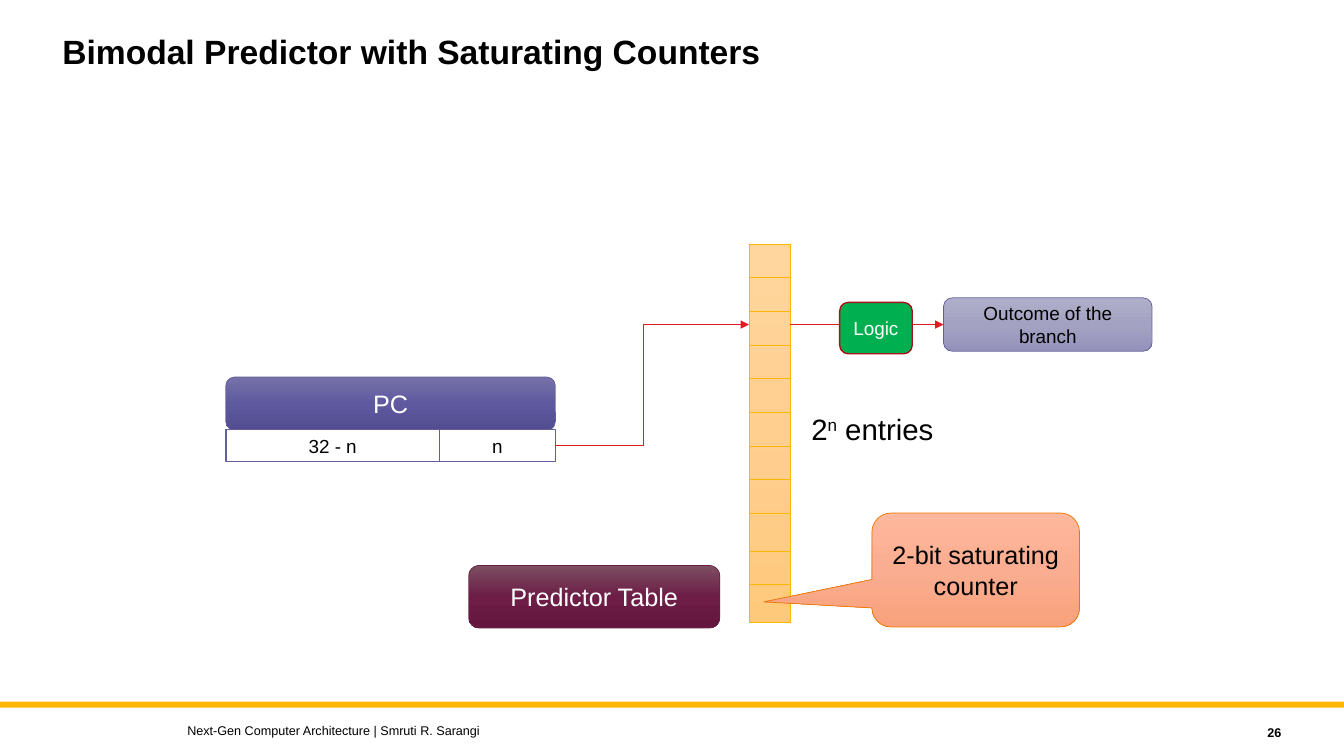
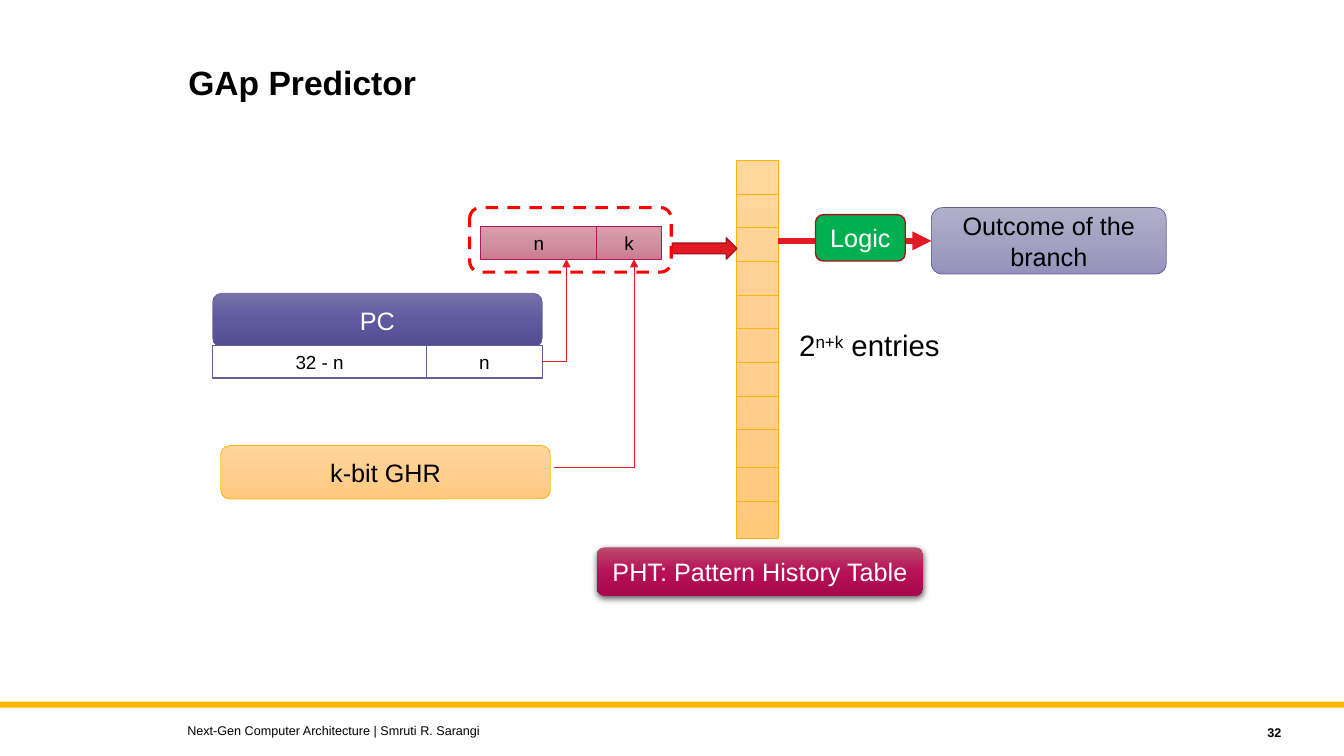
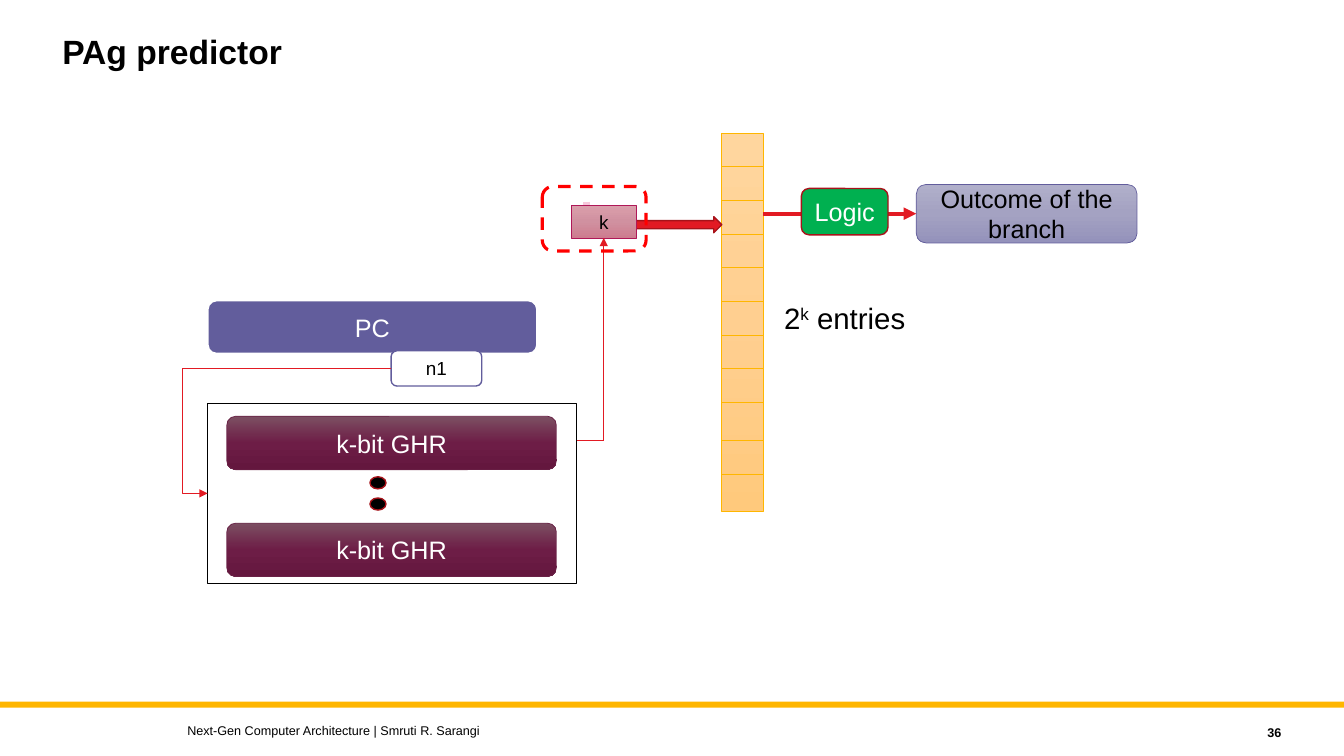
from copy import deepcopy
from dataclasses import dataclass
from itertools import accumulate, pairwise

from lxml.etree import SubElement
from pptx import Presentation
from pptx.dml.color import RGBColor
from pptx.enum.dml import MSO_LINE
from pptx.enum.shapes import MSO_CONNECTOR, MSO_SHAPE
from pptx.enum.text import MSO_ANCHOR, PP_ALIGN
from pptx.oxml.ns import qn
from pptx.util import Inches, Pt

COLUMNS, ROWS = 133.33, 75
CELL = Inches(0.1)
FONT = "Arial"
TOP, LEFT, BOTTOM, RIGHT = range(4)

BLACK = RGBColor(0x00, 0x00, 0x00)
WHITE = RGBColor(0xFF, 0xFF, 0xFF)
AMBER = RGBColor(0xFF, 0xB6, 0x00)
INDIGO = RGBColor(0x62, 0x5D, 0x9C)
RED = RGBColor(0xE2, 0x1A, 0x23)
DARK_RED = RGBColor(0xA7, 0x13, 0x1A)
BRIGHT_RED = RGBColor(0xFF, 0x00, 0x00)
GREEN = RGBColor(0x00, 0xB0, 0x50)
ORANGE = RGBColor(0xEC, 0x77, 0x00)
WINE = RGBColor(0x69, 0x21, 0x46)
MAGENTA = RGBColor(0xAF, 0x18, 0x58)
PINK = RGBColor(0xF7, 0xC8, 0xDC)


def fade(*codes):
    return tuple(RGBColor.from_string(code) for code in codes)


INDIGO_FADE = fade("7571A8", "5F5A9F", "524D90")
AMBER_FADE = fade("FFD69E", "FFCF90", "FFC97C")
LILAC_FADE = fade("B0AFCA", "A4A2C2", "9492BB")
WINE_FADE = fade("7C4F62", "6D1D46", "64173E")
PEACH_FADE = fade("FFB89D", "FAAD90", "F9A17C")
ROSE_FADE = fade("DA9EAB", "D091A0", "CD7C8F")
MAGENTA_FADE = fade("BA4D6E", "B71057", "A9084C")

INDIGO_LOOK = dict(fill=INDIGO_FADE, line=INDIGO, color=WHITE)
FIELD_LOOK = dict(fill=WHITE, line=INDIGO, weight=1, size=13.5)
AMBER_LOOK = dict(fill=AMBER_FADE, line=AMBER)
WINE_LOOK = dict(fill=WINE_FADE, line=WINE, color=WHITE)
INDEX_LOOK = dict(fill=ROSE_FADE, line=MAGENTA, size=13.5)
DASHED_LOOK = dict(line=BRIGHT_RED, weight=2.25, dash=MSO_LINE.DASH)


@dataclass(frozen=True)
class Box:
    left: float
    top: float
    width: float
    height: float

    @property
    def right(self):
        return self.left + self.width

    @property
    def bottom(self):
        return self.top + self.height

    @property
    def center(self):
        return self.left + self.width / 2

    @property
    def middle(self):
        return self.top + self.height / 2

    def inner(self, left, top, width, height):
        return Box(self.left + left, self.top + top, width, height)

    def lengths(self):
        return cells(self.left, self.top, self.width, self.height)


def cells(*lengths):
    return [round(length * CELL) for length in lengths]


def write(shape, text, size=18, color=BLACK, bold=False, align=PP_ALIGN.CENTER,
          anchor=MSO_ANCHOR.MIDDLE, spacing=1.0):
    frame = shape.text_frame
    frame.word_wrap = True
    frame.vertical_anchor = anchor
    para = frame.paragraphs[0]
    para.alignment = align
    para.line_spacing = spacing
    for place, words in enumerate(text.split("^")):
        span = para.add_run()
        span.text = words
        span.font.name = FONT
        span.font.size = Pt(size)
        span.font.bold = bold
        span.font.color.rgb = color
        if place % 2:
            span.font._element.set("baseline", "30000")


def label(page, box, text, **style):
    style = dict(align=PP_ALIGN.LEFT) | style
    write(page.shapes.add_textbox(*box.lengths()), text, **style)


def paint(shape, fill):
    if fill is None:
        shape.fill.background()
    elif isinstance(fill, RGBColor):
        shape.fill.solid()
        shape.fill.fore_color.rgb = fill
    else:
        shape.fill.gradient()
        shape.fill.gradient_angle = 270
        stops = shape._element.spPr.find(qn("a:gradFill")).find(qn("a:gsLst"))
        stops.append(deepcopy(stops[0]))
        for stop, position, color in zip(shape.fill.gradient_stops, (0, 0.5, 1), fill):
            stop.color.rgb = color
            stop.position = position


def block(page, box, text="", kind=MSO_SHAPE.ROUNDED_RECTANGLE, fill=None, line=None,
          weight=0.5, dash=None, **style):
    shape = page.shapes.add_shape(kind, *box.lengths())
    shape.shadow.inherit = False
    paint(shape, fill)
    if line is None:
        shape.line.fill.background()
    else:
        shape.line.color.rgb = line
        shape.line.width = Pt(weight)
    if dash is not None:
        shape.line.dash_style = dash
    if text:
        write(shape, text, **style)
    return shape


def wire(page, begin, end, color=RED, weight=0.5, arrow=False, kind=MSO_CONNECTOR.STRAIGHT):
    connector = page.shapes.add_connector(kind, *cells(*begin, *end))
    connector.line.color.rgb = color
    connector.line.width = Pt(weight)
    properties = connector._element.spPr
    if arrow:
        SubElement(properties.find(qn("a:ln")), qn("a:tailEnd"), type="triangle")
    SubElement(properties, qn("a:effectLst"))
    return connector


def route(page, points, source=None, target=None, **style):
    legs = list(pairwise(points))
    wires = [wire(page, *leg, arrow=leg == legs[-1], **style) for leg in legs]
    if source:
        wires[0].begin_connect(*source)
    if target:
        wires[-1].end_connect(*target)


def new_page(deck, title, number, title_box=Box(5.2, 3, 100, 9)):
    page = deck.slides.add_slide(deck.slide_layouts[6])
    block(page, Box(0, 69.6, COLUMNS, 0.6), kind=MSO_SHAPE.RECTANGLE, fill=AMBER)
    label(page, title_box, title, size=24, bold=True, anchor=MSO_ANCHOR.TOP, spacing=0.9)
    label(page, Box(17.6, 71.2, 80, 2.5),
          "Next-Gen Computer Architecture | Smruti R. Sarangi", size=9)
    label(page, Box(114.1, 71.4, 14, 2.5), str(number), size=9, bold=True,
          align=PP_ALIGN.RIGHT)
    return page


def program_counter(page, box):
    block(page, box, "PC", **INDIGO_LOOK)
    high = box.inner(0, 5.2, 21.2, 3.2)
    low = box.inner(high.width, 5.2, box.width - high.width, 3.2)
    block(page, high, "32 - n", MSO_SHAPE.RECTANGLE, **FIELD_LOOK)
    return low, block(page, low, "n", MSO_SHAPE.RECTANGLE, **FIELD_LOOK)


def counter_table(page, box, entries):
    block(page, box, kind=MSO_SHAPE.RECTANGLE, **AMBER_LOOK)
    for offset in accumulate([3.34] * 8 + [3.76, 3.34]):
        row = box.top + offset
        wire(page, (box.left, row), (box.right, row), color=AMBER)
    label(page, box.inner(5.2, 16.1, 18, 4.5), entries, size=21, anchor=MSO_ANCHOR.TOP)


def prediction(page, table, logic, width, height, weight, size=18):
    row = table.top + 8
    outcome = Box(table.left + 19.3, row - height / 2, width, height)
    result = block(page, outcome, "Outcome of the branch", fill=LILAC_FADE, line=INDIGO,
                   size=size)
    route(page, [(table.right, row), (outcome.left, row)], target=(result, LEFT),
          weight=weight)
    block(page, logic, "Logic", fill=GREEN, line=DARK_RED, weight=1, color=WHITE, size=size)


def index_arrow(page, box):
    block(page, box, kind=MSO_SHAPE.RIGHT_ARROW, fill=RED, line=DARK_RED, weight=1)


def register_bank(page, box):
    register = box.inner(1.9, 1.3, 32.7, 5.3)
    for step in (0, 10.6):
        block(page, register.inner(0, step, register.width, register.height),
              "k-bit GHR", **WINE_LOOK)
    for step in (7.3, 9.4):
        block(page, box.inner(16.1, step, 1.6, 1.2), kind=MSO_SHAPE.OVAL, fill=BLACK,
              line=DARK_RED, weight=1)
    block(page, box, kind=MSO_SHAPE.RECTANGLE, line=BLACK, weight=1)


def bimodal_slide(deck):
    page = new_page(deck, "Bimodal Predictor with Saturating Counters", 26)
    table = Box(74.3, 24.2, 4.1, 37.5)
    low, field = program_counter(page, Box(22.4, 37.4, 32.7, 5.3))
    counter_table(page, table, "2^n^ entries")
    bend, row = 63.8, table.top + 8
    route(page, [(low.right, low.middle), (bend, low.middle), (bend, row), (table.left, row)],
          source=(field, RIGHT))
    prediction(page, table, table.inner(9, 5.8, 7.2, 5.1), 20.7, 5.3, 0.5, size=13.5)
    block(page, Box(46.5, 56.1, 24.9, 6.2), "Predictor Table", **WINE_LOOK)
    callout = block(page, Box(86.5, 50.9, 20.6, 11.3), "2-bit saturating counter",
                    MSO_SHAPE.ROUNDED_RECTANGULAR_CALLOUT, fill=PEACH_FADE, line=ORANGE)
    callout.adjustments[0] = -1.02
    callout.adjustments[1] = 0.28


def global_history_slide(deck):
    page = new_page(deck, "GAp Predictor", 32, Box(17.7, 6.1, 86.2, 10.9))
    table = Box(73.1, 15.9, 4.1, 37.5)
    low, field = program_counter(page, Box(21.1, 29.1, 32.7, 5.3))
    counter_table(page, table, "2^n+k^ entries")
    prediction(page, table, table.inner(7.8, 5.4, 8.9, 4.6), 23.3, 6.6, 4.5)
    block(page, Box(21.9, 44.2, 32.7, 5.3), "k-bit GHR", **AMBER_LOOK)
    frame = Box(46.6, 20.6, 20, 6.4)
    address = frame.inner(1.1, 1.9, 11.5, 3.2)
    history = frame.inner(12.6, 1.9, 6.4, 3.2)
    for box, text in ((address, "n"), (history, "k")):
        block(page, box, text, MSO_SHAPE.RECTANGLE, **INDEX_LOOK)
    route(page, [(low.right, low.middle), (56.2, low.middle), (56.2, address.bottom)],
          source=(field, RIGHT))
    route(page, [(55, 46.4), (62.9, 46.4), (62.9, history.bottom)])
    index_arrow(page, Box(66.7, 23.6, 6.4, 2.1))
    block(page, frame, **DASHED_LOOK)
    caption = block(page, Box(59.2, 54.3, 32.4, 4.8), "PHT: Pattern History Table",
                    fill=MAGENTA_FADE, color=WHITE)
    shadow = SubElement(caption._element.spPr.find(qn("a:effectLst")), qn("a:outerShdw"),
                        blurRad=str(Pt(4.5)), dist=str(Pt(1.5)), dir="5400000",
                        rotWithShape="0")
    shade = SubElement(shadow, qn("a:srgbClr"), val=str(BLACK))
    SubElement(shade, qn("a:alpha"), val="63000")


def local_history_slide(deck):
    page = new_page(deck, "PAg predictor", 36)
    table = Box(71.6, 13.2, 4.1, 37.5)
    counter_table(page, table, "2^k^ entries")
    prediction(page, table, table.inner(7.9, 5.5, 8.6, 4.6), 21.9, 5.8, 3)
    block(page, Box(20.6, 29.8, 32.7, 5.3), "PC", fill=INDIGO, line=WHITE, weight=1.5,
          color=WHITE)
    frame = Box(53.8, 18.5, 10.3, 6.4)
    history = frame.inner(2.9, 1.9, 6.4, 3.2)
    bank = Box(20.6, 40, 36.6, 17.9)
    address = Box(38.8, 34.8, 9, 3.5)
    index_arrow(page, Box(61.4, 21.5, 10.2, 1.6))
    wire(page, (58.2, 20), (58.2, 23.7), color=PINK, weight=4.5)
    block(page, address, "n1", **FIELD_LOOK)
    register_bank(page, bank)
    elbow = wire(page, (address.left, address.middle), (bank.left, bank.middle),
                 arrow=True, kind=MSO_CONNECTOR.ELBOW)
    bends = elbow._element.spPr.find(qn("a:prstGeom")).find(qn("a:avLst"))
    SubElement(bends, qn("a:gd"), name="adj1", fmla="val 113700")
    index = block(page, history, "k", MSO_SHAPE.RECTANGLE, **INDEX_LOOK)
    route(page, [(bank.right, 43.7), (history.center, 43.7), (history.center, history.bottom)],
          target=(index, BOTTOM))
    block(page, frame, **DASHED_LOOK)


def main():
    deck = Presentation()
    deck.slide_width, deck.slide_height = cells(COLUMNS, ROWS)
    bimodal_slide(deck)
    global_history_slide(deck)
    local_history_slide(deck)
    deck.save("out.pptx")


if __name__ == "__main__":
    main()
